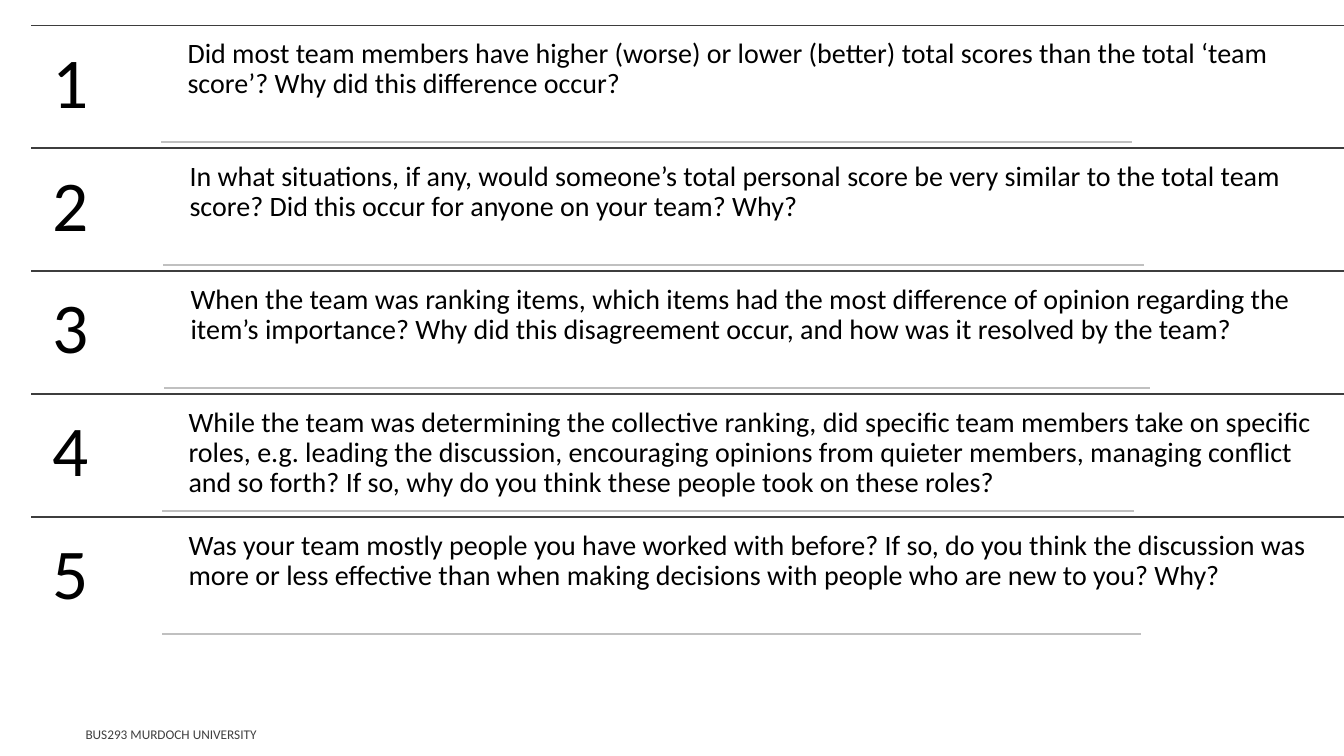
from dataclasses import dataclass

from lxml.etree import SubElement
from pptx import Presentation
from pptx.dml.color import RGBColor as RGB
from pptx.enum.shapes import MSO_CONNECTOR as Conn
from pptx.enum.text import MSO_ANCHOR as Anchor
from pptx.oxml.ns import qn
from pptx.util import Inches, Pt


@dataclass(frozen=True)
class Theme:
    face: str = "Calibri"
    ink: RGB = RGB(0, 0, 0)
    soft: RGB = RGB(0x40, 0x40, 0x40)
    dark: RGB = RGB(0x3D, 0x3D, 0x3D)
    pale: RGB = RGB(0xC0, 0xC0, 0xC0)
    large: Pt = Pt(51)
    body: Pt = Pt(20)
    small: Pt = Pt(9.5)
    rule: Pt = Pt(1)


THEME = Theme()
WIDTH, HEIGHT = 13.33, 7.5
LEFT, TOP, PITCH = 0.31, 0.25, 1.22

# Question, left edge of its text, right end of its pale rule
ROWS = [
    ("Did most team members have higher (worse) or lower (better) total scores "
     "than the total ‘team score’? Why did this difference occur?", 1.78, 11.23),
    ("In what situations, if any, would someone’s total personal score be very "
     "similar to the total team score? Did this occur for anyone on your team? "
     "Why?", 1.8, 11.35),
    ("When the team was ranking items, which items had the most difference of "
     "opinion regarding the item’s importance? Why did this disagreement occur, "
     "and how was it resolved by the team?", 1.81, 11.41),
    ("While the team was determining the collective ranking, did specific team "
     "members take on specific roles, e.g. leading the discussion, encouraging "
     "opinions from quieter members, managing conflict and so forth? If so, why "
     "do you think these people took on these roles?", 1.79, 11.25),
    ("Was your team mostly people you have worked with before? If so, do you "
     "think the discussion was more or less effective than when making decisions "
     "with people who are new to you? Why?", 1.79, 11.32),
]


def put(item, form):
    """Set each attribute named in form on item."""
    for name, value in form.items():
        setattr(item, name, value)


def write(slide, box, text, size, color, pad, anchor=Anchor.TOP):
    frame = slide.shapes.add_textbox(*map(Inches, box)).text_frame
    side, edge = map(Inches, pad)
    put(frame, {"word_wrap": True, "vertical_anchor": anchor,
                "margin_left": side, "margin_right": side,
                "margin_top": edge, "margin_bottom": edge})
    para = frame.paragraphs[0]
    put(para, {"text": text, "line_spacing": 0.9})
    put(para.font, {"name": THEME.face, "size": size})
    para.font.color.rgb = color


def rule(slide, left, right, y, color):
    line = slide.shapes.add_connector(
        Conn.STRAIGHT, *map(Inches, (left, y, right, y)))
    line.line.color.rgb = color
    line.line.width = THEME.rule
    SubElement(line._element.spPr, qn("a:effectLst"))


def row(slide, box, number, text, start, end):
    """Draw one numbered question between its dark and pale rules."""
    left, top, width, height = box
    right = left + width
    indent = start - 0.18
    rule(slide, left, right, top, THEME.dark)
    write(slide, (left, top, indent - left, height), str(number),
          THEME.large, THEME.ink, (0.21, 0.21))
    write(slide, (start, top + 0.06, right - start, height - 0.11), text,
          THEME.body, THEME.ink, (0.08, 0.08))
    rule(slide, indent, end, top + height - 0.06, THEME.pale)


def footer(slide, box):
    write(slide, box, "BUS293 MURDOCH UNIVERSITY", THEME.small, THEME.soft,
          (0.1, 0.05), Anchor.MIDDLE)


def main():
    deck = Presentation()
    put(deck, {"slide_width": Inches(WIDTH), "slide_height": Inches(HEIGHT)})
    slide = deck.slides.add_slide(deck.slide_layouts[6])
    footer(slide, (0.75, 7.17, 5.5, 0.25))
    for i, (text, start, end) in enumerate(ROWS):
        box = LEFT, TOP + i * PITCH, WIDTH - LEFT, PITCH
        row(slide, box, i + 1, text, start, end)
    deck.save("out.pptx")


if __name__ == "__main__":
    main()
